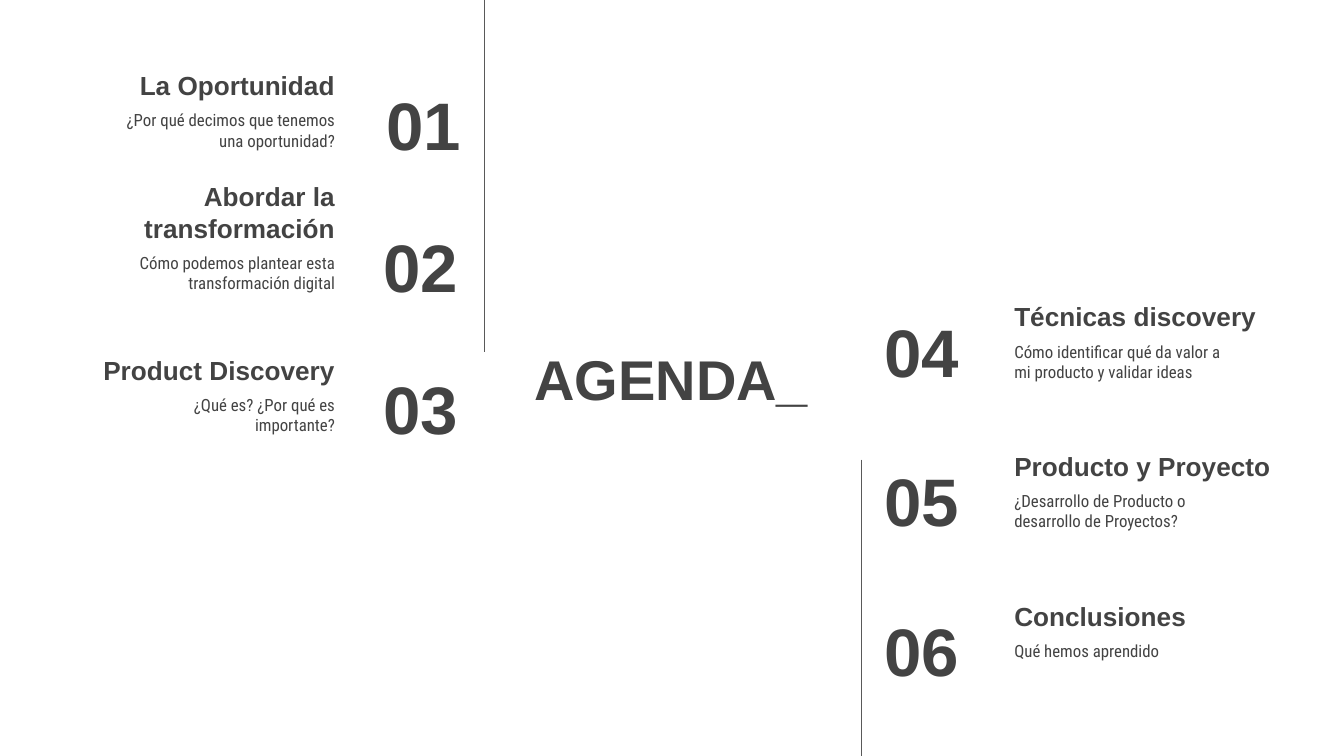
"""Build an agenda slide with six numbered topics around a central title."""
from dataclasses import dataclass

from lxml import etree
from pptx import Presentation
from pptx.dml.color import RGBColor
from pptx.enum.shapes import MSO_CONNECTOR
from pptx.enum.text import MSO_ANCHOR, MSO_AUTO_SIZE, PP_ALIGN
from pptx.oxml.ns import qn
from pptx.shapes.base import BaseShape
from pptx.slide import Slide
from pptx.util import Cm, Pt

LEFT, CENTER, RIGHT = PP_ALIGN.LEFT, PP_ALIGN.CENTER, PP_ALIGN.RIGHT
TOP, MIDDLE, BOTTOM = MSO_ANCHOR.TOP, MSO_ANCHOR.MIDDLE, MSO_ANCHOR.BOTTOM
NO_FIT = MSO_AUTO_SIZE.NONE
STRAIGHT = MSO_CONNECTOR.STRAIGHT

WIDTH, HEIGHT = 25.4, 14.29
BOX_H = 1.6
INK, RULE = "434343", "595959"


@dataclass(frozen=True)
class Style:
    font: str
    size: int
    bold: bool
    anchor: MSO_ANCHOR


@dataclass(frozen=True)
class Side:
    align: PP_ALIGN
    top: float
    step: float
    head_x: float
    note_x: float
    num_x: float
    num_w: float
    num_dy: float


@dataclass(frozen=True)
class Topic:
    head: str
    note: str
    shift: float = 0


TITLE = Style("Arial", 30, True, MIDDLE)
HEAD = Style("Arial", 14, True, BOTTOM)
NOTE = Style("Roboto Condensed", 9, False, TOP)
NUMBER = Style("Arial", 36, True, MIDDLE)

WEST = Side(RIGHT, 0.56, 2.69, 1.09, 1.93, 5.84, 3.07, 0.97)
EAST = Side(LEFT, 4.93, 2.83, 18.92, 18.92, 16.46, 2.97, 0.89)

GROUPS = (
    (WEST, (
        Topic("La Oportunidad",
              "¿Por qué decimos que tenemos una oportunidad?", 0.05),
        Topic("Abordar la transformación",
              "Cómo podemos plantear esta transformación digital"),
        Topic("Product Discovery", "¿Qué es? ¿Por qué es importante?"),
    )),
    (EAST, (
        Topic("Técnicas discovery",
              "Cómo identificar qué da valor a mi producto y validar ideas"),
        Topic("Producto y Proyecto",
              "¿Desarrollo de Producto o desarrollo de Proyectos?"),
        Topic("Conclusiones", "Qué hemos aprendido"),
    )),
)


def color(code: str) -> RGBColor:
    """Turn a hex string into a colour."""
    return RGBColor.from_string(code)


def fill_text(shape: BaseShape, text: str, style: Style, align: PP_ALIGN) -> None:
    """Set and format the text of a shape."""
    frame = shape.text_frame
    frame.text = text
    frame.word_wrap = True
    frame.auto_size = NO_FIT
    frame.vertical_anchor = style.anchor
    frame.margin_left = frame.margin_right = Cm(0.25)
    frame.margin_top = frame.margin_bottom = Cm(0.25)
    line = frame.paragraphs[0]
    line.alignment = align
    font = line.runs[0].font
    font.name, font.size, font.bold = style.font, Pt(style.size), style.bold
    font.color.rgb = color(INK)


def add_text(slide: Slide, x: float, y: float, width: float,
             text: str, style: Style, align: PP_ALIGN) -> None:
    """Add a text box of the common height."""
    box = slide.shapes.add_textbox(Cm(x), Cm(y), Cm(width), Cm(BOX_H))
    fill_text(box, text, style, align)


def add_topic(slide: Slide, side: Side, row: int, number: int, topic: Topic) -> None:
    """Add the heading, note and number of one topic."""
    y = side.top + row * side.step
    add_text(slide, side.head_x, y, 5.49, topic.head, HEAD, side.align)
    add_text(slide, side.note_x, y + 1.27, 4.65, topic.note, NOTE, side.align)
    add_text(slide, side.num_x + topic.shift, y + side.num_dy, side.num_w,
             f"{number:02}", NUMBER, side.align)


def add_rule(slide: Slide, x: float, top: float, end: float) -> None:
    """Add a thin vertical line."""
    rule = slide.shapes.add_connector(STRAIGHT, Cm(x), Cm(top), Cm(x), Cm(end))
    rule.line.color.rgb = color(RULE)
    rule.line.width = Pt(0.75)
    etree.SubElement(rule._element.spPr, qn("a:effectLst"))


def main() -> None:
    """Build and save the slide."""
    deck = Presentation()
    deck.slide_width, deck.slide_height = Cm(WIDTH), Cm(HEIGHT)
    slide = deck.slides.add_slide(deck.slide_layouts[5])
    title = slide.shapes.title
    title.left, title.top = Cm(9.4), Cm(5.84)
    title.width, title.height = Cm(6.58), Cm(2.62)
    fill_text(title, "AGENDA_", TITLE, CENTER)

    number = 0
    for side, topics in GROUPS:
        for row, topic in enumerate(topics):
            number += 1
            add_topic(slide, side, row, number, topic)
    add_rule(slide, 9.16, 0, 6.65)
    add_rule(slide, 16.28, 8.69, HEIGHT)
    deck.save("out.pptx")


if __name__ == "__main__":
    main()
